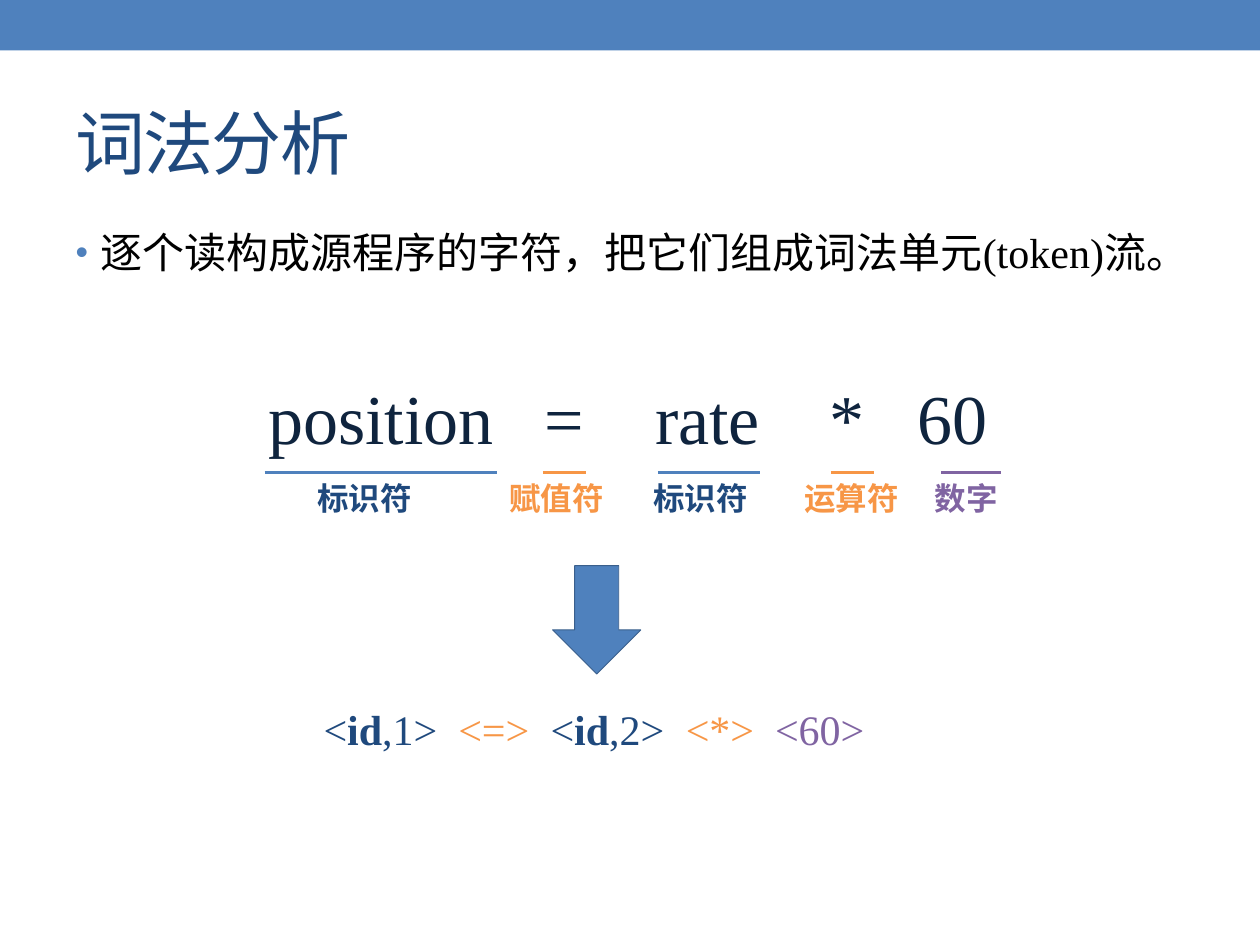
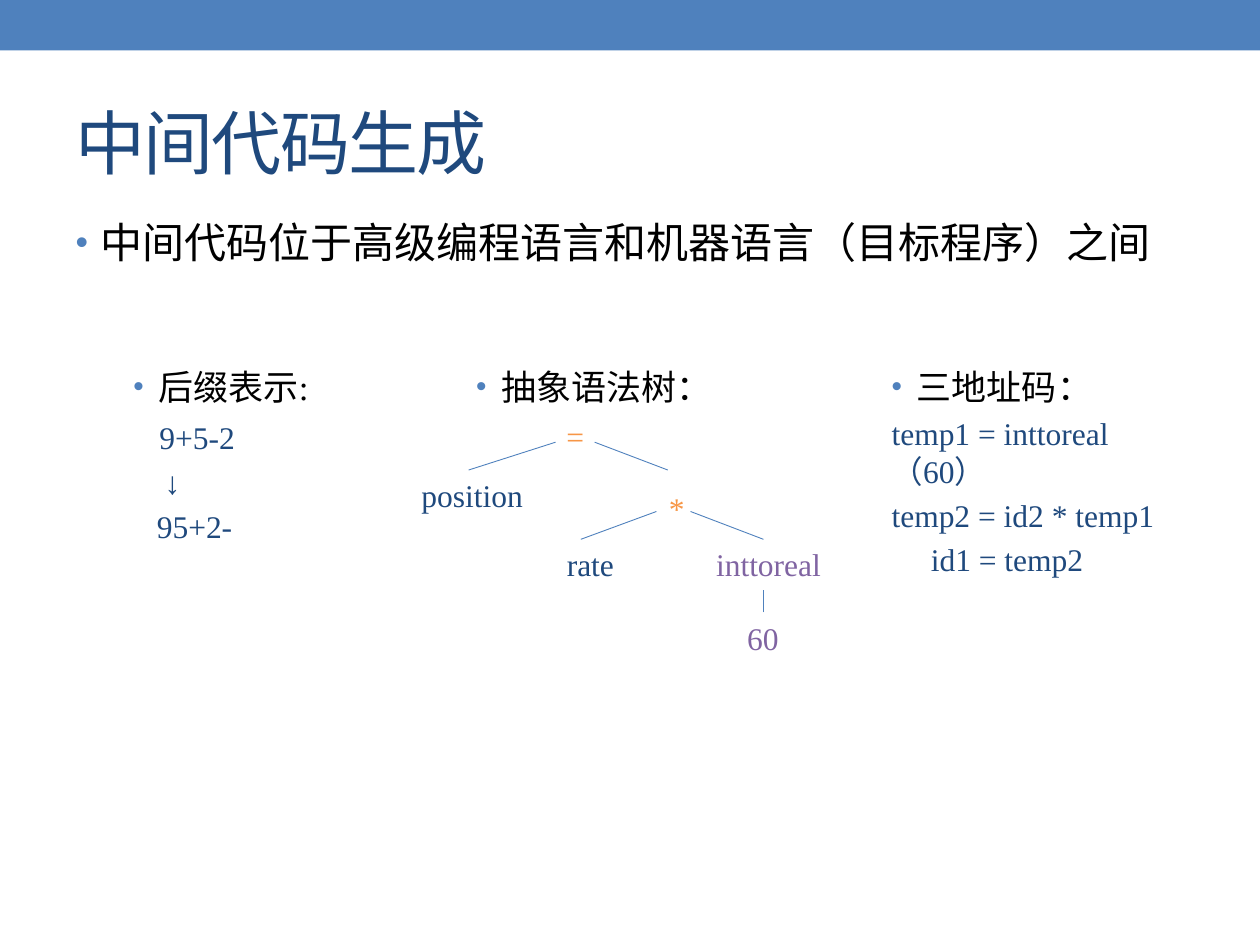
"""Build two compiler-course slides: lexical analysis and intermediate code."""
from dataclasses import dataclass

from lxml.etree import SubElement
from pptx import Presentation
from pptx.dml.color import RGBColor
from pptx.enum.shapes import MSO_CONNECTOR, MSO_SHAPE
from pptx.enum.text import MSO_ANCHOR, MSO_AUTO_SIZE, PP_ALIGN
from pptx.oxml.ns import qn
from pptx.util import Pt


@dataclass(frozen=True)
class Theme:
    font: str = "Times New Roman"
    blue: str = "4F81BD"
    edge: str = "3A5F8C"
    navy: str = "1F497D"
    ink: str = "0F243E"
    orange: str = "F79646"
    purple: str = "8064A2"
    black: str = "000000"
    display: int = 40
    body: int = 24
    heading: int = 20
    label: int = 18
    hang: float = 14.4


THEME = Theme()
WIDTH, HEIGHT = 720, 540
BAND_HEIGHT = 28.8
TITLE_FRAME = (36, 41.8, 648, 77.8)

LEXICAL = {
    "title": "词法分析",
    "bullet": "逐个读构成源程序的字符，把它们组成词法单元(token)流。",
    "frame": (36, 126, 648, 384),
}
INTERMEDIATE = {
    "title": "中间代码生成",
    "bullet": "中间代码位于高级编程语言和机器语言（目标程序）之间",
    "frame": (36, 120.2, 648, 243.4),
}

EXPRESSION = ["position", "=", "rate", "*", "60"]
EXPRESSION_FRAME, EXPRESSION_TABS = (146.2, 210.6, 430, 55.4), [158, 221, 320.5, 371]
UNDERLINE_TOP = 270
LEXEMES = [
    ("标识符", THEME.blue, THEME.navy, 151.3, 284.2, 174.2),
    ("标识符", THEME.blue, THEME.navy, 376, 434.5, 366.2),
    ("赋值符", THEME.orange, THEME.orange, 310.3, 334.8, 284),
    ("运算符", THEME.orange, THEME.orange, 474.8, 499.5, 452.5),
    ("数字", THEME.purple, THEME.purple, 538, 571.8, 527),
]
TOKENS = [
    ("<", THEME.navy, False), ("id", THEME.navy, True), (",1>\t", THEME.navy, False),
    ("<=>\t", THEME.orange, False),
    ("<", THEME.navy, False), ("id", THEME.navy, True), (",2>\t", THEME.navy, False),
    ("<*>\t", THEME.orange, False),
    ("<60>", THEME.purple, False),
]
TOKENS_FRAME, TOKEN_TABS = (177.8, 398.5, 345, 36), [77, 129.7, 207, 258]
ARROW_FRAME = (310, 329, 61.9, 50.4)

NODE_HEIGHT = 28.8
TREE_NODES = [
    ("=", THEME.orange, 328.7, 234.7, 32.4),
    ("position", THEME.navy, 269.8, 268.6, 85),
    ("*", THEME.orange, 386.8, 275.8, 19.4),
    ("rate", THEME.navy, 337.4, 308, 50.4),
    ("inttoreal", THEME.purple, 439.2, 308, 74.9),
    ("60", THEME.purple, 436, 350.2, 36),
]
TREE_EDGES = [
    (267.8, 268.6, 317.5, 252.7),
    (381.6, 268.6, 339.8, 252.7),
    (331.9, 308.2, 375.1, 292.3),
    (436.3, 308.2, 394.6, 292.3),
    (436.3, 349.9, 436.3, 337),
]

COLUMN_TOP, COLUMN_WIDTH, COLUMN_HEIGHT = 172.8, 203, 229
COLUMN_INSET, HEADING_INDENT = 36, 36
COLUMNS = [
    (47.5, "后缀表示:", [("9+5-2", 36.5, 6), ("↓", 39.5, 4.2), ("95+2-", 35, 3.6)]),
    (243.4, "抽象语法树：", []),
    (480.8, "三地址码：", [
        ("temp1 = inttoreal（60）", 21.6, 3.6),
        ("temp2 = id2 * temp1", 21.6, 3.6),
        ("id1 = temp2", 44, 3.6),
    ]),
]


def color(value):
    return RGBColor.from_string(value)


def points(values):
    return [Pt(value) for value in values]


def apply(target, values):
    for name, value in values.items():
        setattr(target, name, value)


def write_span(para, text, size, ink, bold=False):
    span = para.add_run()
    span.text = text
    apply(span.font, {"name": THEME.font, "size": Pt(size), "bold": bold})
    span.font.color.rgb = color(ink)
    return span


def add_property(para, tag, **values):
    return SubElement(para._p.get_or_add_pPr(), qn(tag), values)


def set_indent(para, left, first=0):
    properties = para._p.get_or_add_pPr()
    properties.set("marL", str(Pt(left)))
    properties.set("indent", str(Pt(first)))


def set_bullet(para, left, size):
    set_indent(para, left, -THEME.hang)
    para.space_before = Pt(size * 0.2)
    SubElement(add_property(para, "a:buClr"), qn("a:srgbClr"), val=THEME.blue)
    add_property(para, "a:buSzPct", val="85000")
    add_property(para, "a:buFont", typeface="Arial")
    add_property(para, "a:buChar", char="•")


def set_tabs(para, stops):
    tabs = add_property(para, "a:tabLst")
    for stop in stops:
        SubElement(tabs, qn("a:tab"), pos=str(Pt(stop)), algn="l")


def add_box(shapes, frame, wrap=True):
    box = shapes.add_textbox(*points(frame))
    apply(box.text_frame, {"word_wrap": wrap, "auto_size": MSO_AUTO_SIZE.NONE})
    return box.text_frame


def add_label(shapes, frame, text, ink, bold=False, align=PP_ALIGN.LEFT):
    para = add_box(shapes, frame, wrap=False).paragraphs[0]
    para.alignment = align
    write_span(para, text, THEME.label, ink, bold)


def add_line(shapes, ends, ink, width):
    line = shapes.add_connector(MSO_CONNECTOR.STRAIGHT, *points(ends))
    line.line.color.rgb = color(ink)
    line.line.width = Pt(width)
    SubElement(line.element.spPr, qn("a:effectLst"))


def add_solid(shapes, kind, frame):
    shape = shapes.add_shape(kind, *points(frame))
    shape.shadow.inherit = False
    shape.fill.solid()
    shape.fill.fore_color.rgb = color(THEME.blue)
    return shape


def place(holder, frame, anchor):
    apply(holder, dict(zip(("left", "top", "width", "height"), points(frame))))
    apply(holder.text_frame, {
        "word_wrap": True, "auto_size": MSO_AUTO_SIZE.NONE, "vertical_anchor": anchor,
    })
    return holder.text_frame.paragraphs[0]


def add_page(deck, content):
    page = deck.slides.add_slide(deck.slide_layouts[1])
    title = place(page.shapes.title, TITLE_FRAME, MSO_ANCHOR.MIDDLE)
    title.alignment = PP_ALIGN.LEFT
    span = write_span(title, content["title"], THEME.display, THEME.navy)
    span.font._element.set("spc", "-100")
    body = place(page.placeholders[1], content["frame"], MSO_ANCHOR.TOP)
    set_bullet(body, THEME.hang, THEME.body)
    write_span(body, content["bullet"], THEME.body, THEME.black)
    return page


def add_band(deck, page):
    band = add_solid(page.shapes, MSO_SHAPE.RECTANGLE, (0, 0, WIDTH, BAND_HEIGHT))
    band.line.fill.background()
    band.element.nvSpPr.cNvPr.set("id", "99")
    deck.slide_master.shapes.element.insert(2, band.element)


def draw_lexemes(page):
    para = add_box(page.shapes, EXPRESSION_FRAME).paragraphs[0]
    set_tabs(para, EXPRESSION_TABS)
    write_span(para, "\t".join(EXPRESSION), THEME.display, THEME.ink)
    for text, line_ink, ink, start, end, left in LEXEMES:
        add_line(page.shapes, (start, UNDERLINE_TOP, end, UNDERLINE_TOP), line_ink, 2)
        frame = (left, UNDERLINE_TOP, THEME.label * len(text) + 15, NODE_HEIGHT)
        add_label(page.shapes, frame, text, ink, bold=True)


def draw_tokens(page):
    para = add_box(page.shapes, TOKENS_FRAME).paragraphs[0]
    set_tabs(para, TOKEN_TABS)
    for text, ink, bold in TOKENS:
        write_span(para, text, THEME.body, ink, bold)
    arrow = add_solid(page.shapes, MSO_SHAPE.RIGHT_ARROW, ARROW_FRAME)
    arrow.rotation = 90
    arrow.line.color.rgb = color(THEME.edge)
    arrow.line.width = Pt(0.5)


def draw_tree(page):
    tree = page.shapes.add_group_shape().shapes
    for ends in TREE_EDGES:
        add_line(tree, ends, THEME.blue, 0.5)
    for text, ink, center, top, width in TREE_NODES:
        frame = (center - width / 2, top, width, NODE_HEIGHT)
        add_label(tree, frame, text, ink, align=PP_ALIGN.CENTER)


def draw_columns(page):
    for left, heading, lines in COLUMNS:
        frame = (left, COLUMN_TOP, COLUMN_WIDTH, COLUMN_HEIGHT)
        box = add_box(page.shapes, frame)
        box.margin_top = Pt(COLUMN_INSET)
        set_bullet(box.paragraphs[0], HEADING_INDENT, THEME.heading)
        write_span(box.paragraphs[0], heading, THEME.heading, THEME.black)
        for text, indent, gap in lines:
            para = box.add_paragraph()
            set_indent(para, indent)
            para.space_before = Pt(gap)
            write_span(para, text, THEME.label, THEME.navy)


def main():
    deck = Presentation()
    apply(deck, {"slide_width": Pt(WIDTH), "slide_height": Pt(HEIGHT)})
    lexical = add_page(deck, LEXICAL)
    add_band(deck, lexical)
    draw_lexemes(lexical)
    draw_tokens(lexical)
    intermediate = add_page(deck, INTERMEDIATE)
    draw_tree(intermediate)
    draw_columns(intermediate)
    deck.save("out.pptx")


main()
